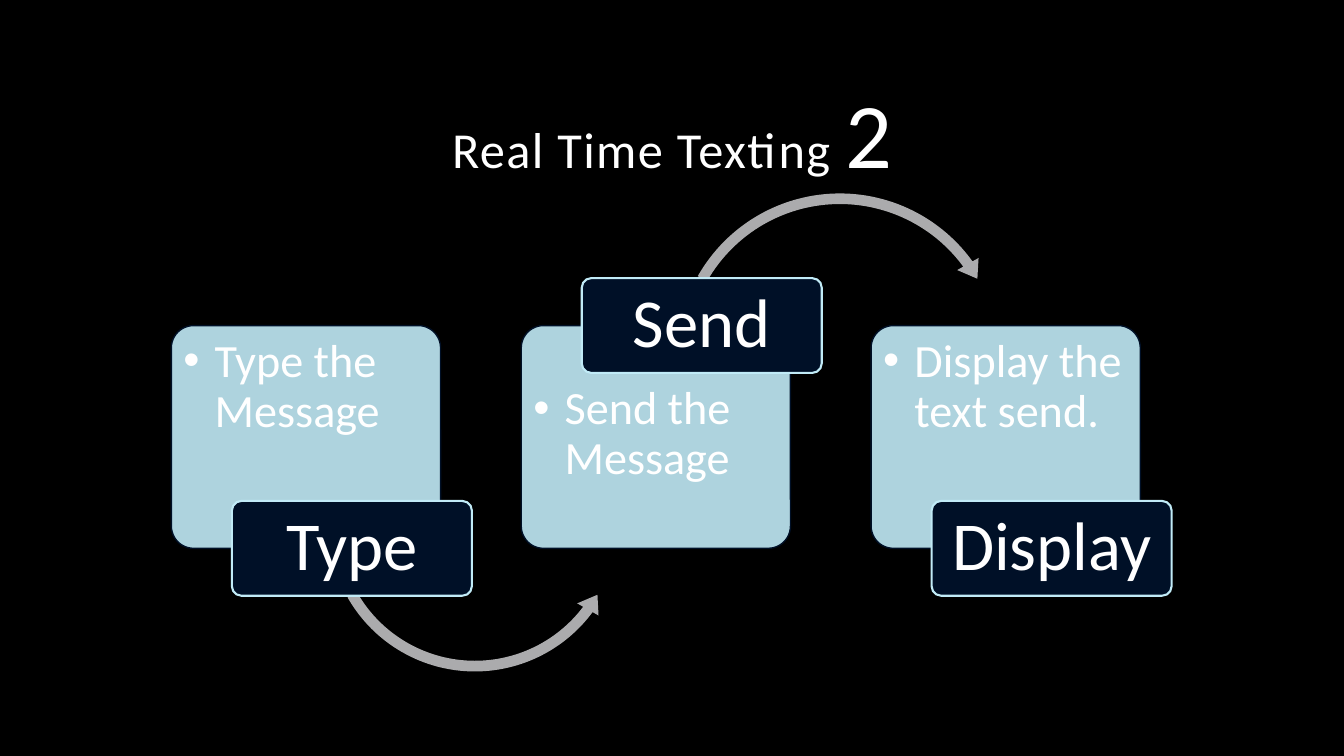
from dataclasses import dataclass
from lxml.etree import SubElement
from pptx import Presentation
from pptx.dml.color import RGBColor
from pptx.enum.shapes import MSO_SHAPE
from pptx.enum.text import MSO_ANCHOR, PP_ALIGN
from pptx.oxml.ns import qn
from pptx.util import Inches, Pt


@dataclass(frozen=True)
class Theme:
    font: str = "Calibri"
    background: str = "000000"
    text: str = "FFFFFF"
    card: str = "C1EBF7"
    label: str = "001027"
    arrow: str = "ABABAD"
    title_size: int = 36
    number_size: int = 66
    card_size: int = 33
    label_size: int = 49


THEME = Theme()
TITLE = [("Real Time Texting ", THEME.title_size), ("2", THEME.number_size)]
# label, message, whether the label sits on the card's top edge
STEPS = [
    ("Type", "Type the Message", False),
    ("Send", "Send the Message", True),
    ("Display", "Display the text send.", False),
]
# shape, size, centre from the card's corner, adjustments; one per gap
ARROWS = [
    (MSO_SHAPE.LEFT_CIRCULAR_ARROW, 3.04, (3.01, 1.98),
     (0.035, 4.277, 22.032, 90.245, 0.04)),
    (MSO_SHAPE.CIRCULAR_ARROW, 3.38, (3.16, 0.31),
     (0.031, 3.813, 194.431, 125.755, 0.036)),
]

SLIDE_W, SLIDE_H = 13.33, 7.5
LEFT, TOP, PITCH = 1.7, 3.23, 3.47
CARD_W, CARD_H = 2.67, 2.21
LABEL_W, LABEL_H, LABEL_DX = 2.38, 0.94, 0.6
CARD_PAD, LABEL_PAD = 0.05, 0.03
BULLET_INDENT = 0.31


def color(value):
    return RGBColor.from_string(value)


def add_block(slide, kind, box, fill, adjustments, line=None, width=0):
    sp = slide.shapes.add_shape(kind, *map(Inches, box))
    sp.shadow.inherit = False
    for i, value in enumerate(adjustments):
        sp.adjustments[i] = value
    sp.fill.solid()
    sp.fill.fore_color.rgb = color(fill)
    if line:
        sp.line.color.rgb = color(line)
        sp.line.width = Pt(width)
    else:
        sp.line.fill.background()
    return sp


def add_text(slide, box, runs, anchor, margins, align=PP_ALIGN.CENTER,
             bullet=False, tracking=0):
    tf = slide.shapes.add_textbox(*map(Inches, box)).text_frame
    tf.word_wrap = True
    tf.vertical_anchor = anchor
    tf.margin_left = tf.margin_right = Inches(margins[0])
    tf.margin_top = tf.margin_bottom = Inches(margins[1])
    p = tf.paragraphs[0]
    p.alignment = align
    p.line_spacing = 0.9
    if bullet:
        pPr = p._p.get_or_add_pPr()
        pPr.set("marL", str(Inches(BULLET_INDENT)))
        pPr.set("indent", str(-Inches(BULLET_INDENT)))
        SubElement(pPr, qn("a:buFont")).set("typeface", "Arial")
        SubElement(pPr, qn("a:buChar")).set("char", "•")
    for text, size in runs:
        r = p.add_run()
        r.text = text
        r.font.name = THEME.font
        r.font.size = Pt(size)
        r.font.color.rgb = color(THEME.text)
        if tracking:
            r._r.get_or_add_rPr().set("spc", str(tracking * 100))


def inset(box, pad):
    x, y, w, h = box
    return x + pad, y + pad, w - 2 * pad, h - 2 * pad


def add_card(slide, x, message, label_on_top):
    box = (x, TOP, CARD_W, CARD_H)
    sp = add_block(slide, MSO_SHAPE.ROUNDED_RECTANGLE, box, THEME.card,
                   [0.1], THEME.label, 1)
    fill_color = sp.fill._xPr.find(qn("a:solidFill"))[0]
    SubElement(fill_color, qn("a:alpha")).set("val", "90000")
    # The message keeps clear of the half of the label that covers the card
    covered = LABEL_H / 2
    text_y = TOP + (covered if label_on_top else 0)
    text_box = inset((x, text_y, CARD_W, CARD_H - covered), CARD_PAD)
    add_text(slide, text_box, [(message, THEME.card_size)], MSO_ANCHOR.TOP,
             (0.07, 0.07), PP_ALIGN.LEFT, bullet=True)


def add_label(slide, x, label, on_top):
    edge = TOP if on_top else TOP + CARD_H
    box = (x + LABEL_DX, edge - LABEL_H / 2, LABEL_W, LABEL_H)
    add_block(slide, MSO_SHAPE.ROUNDED_RECTANGLE, box, THEME.label,
              [0.1], THEME.card, 1.5)
    add_text(slide, inset(box, LABEL_PAD), [(label, THEME.label_size)],
             MSO_ANCHOR.MIDDLE, (0.1, 0.07))


def main():
    prs = Presentation()
    prs.slide_width, prs.slide_height = Inches(SLIDE_W), Inches(SLIDE_H)
    slide = prs.slides.add_slide(prs.slide_layouts[6])
    slide.background.fill.solid()
    slide.background.fill.fore_color.rgb = color(THEME.background)

    add_text(slide, (SLIDE_W / 8, 0.42, SLIDE_W * 0.75, 1.5), TITLE,
             MSO_ANCHOR.BOTTOM, (0.1, 0.05), tracking=1)
    for i, (label, message, on_top) in enumerate(STEPS):
        x = LEFT + i * PITCH
        add_card(slide, x, message, on_top)
        if i < len(ARROWS):
            kind, size, (dx, dy), adjustments = ARROWS[i]
            box = (x + dx - size / 2, TOP + dy - size / 2, size, size)
            add_block(slide, kind, box, THEME.arrow, adjustments)
        add_label(slide, x, label, on_top)
    prs.save("out.pptx")


if __name__ == "__main__":
    main()
